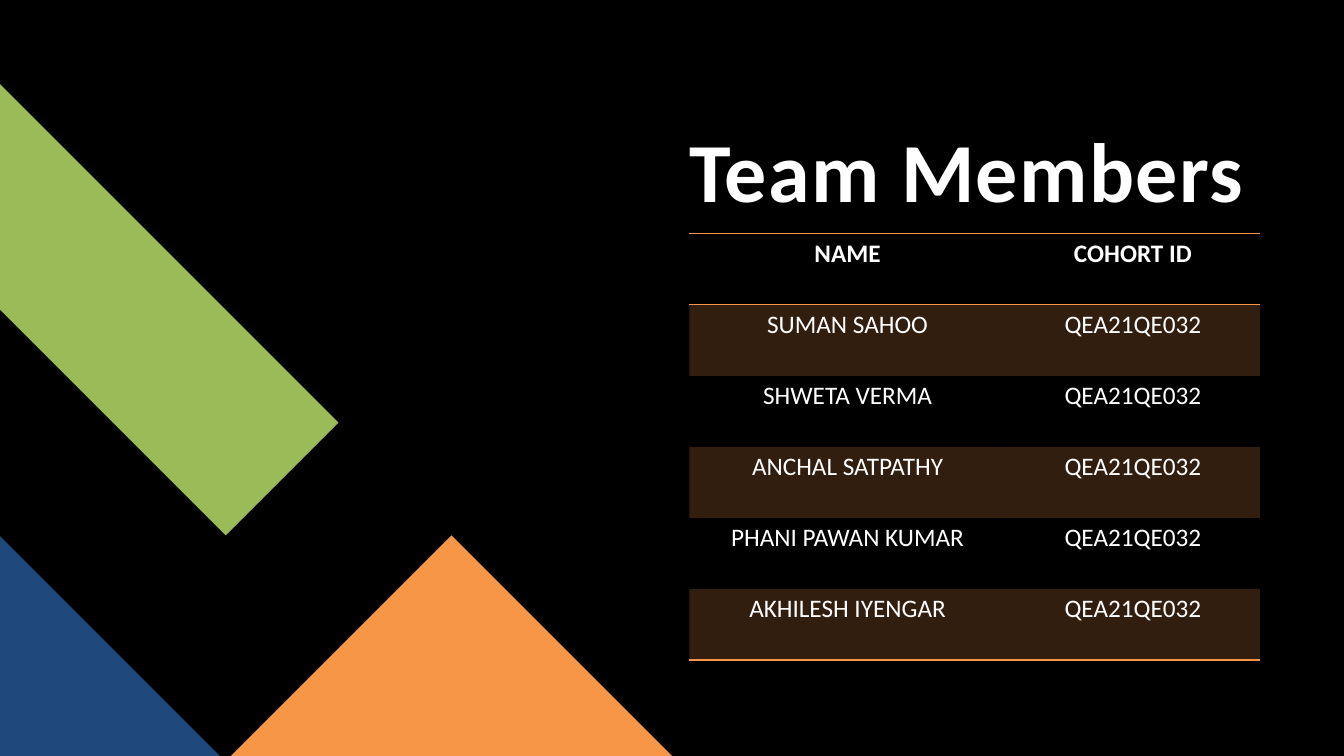
from dataclasses import dataclass

from lxml import etree
from pptx import Presentation
from pptx.dml.color import RGBColor
from pptx.enum.text import MSO_ANCHOR, PP_ALIGN
from pptx.oxml.ns import qn
from pptx.util import Cm, Pt

CENTER, LEFT = PP_ALIGN.CENTER, PP_ALIGN.LEFT
BOTTOM = MSO_ANCHOR.BOTTOM
PLAIN_TABLE_STYLE = "{2D5ABB26-0587-4C30-8999-92F81FD0307C}"


@dataclass(frozen=True)
class Theme:
    font: str = "Calibri"
    background: str = "000000"
    text: str = "FFFFFF"
    green: str = "9BBB59"
    blue: str = "1F497D"
    orange: str = "F79646"
    title_size: int = 60
    table_size: int = 18
    rule_width: int = 1
    band_opacity: int = 20


class Page:
    """The current slide and the style its elements share."""

    def __init__(self, deck, theme):
        self.theme = theme
        self.slide = deck.slides.add_slide(deck.slide_layouts[6])
        fill = self.slide.background.fill
        fill.solid()
        fill.fore_color.rgb = RGBColor.from_string(theme.background)

    def polygon(self, points, color):
        corners = [(Cm(x), Cm(y)) for x, y in points]
        builder = self.slide.shapes.build_freeform(*corners[0])
        builder.add_line_segments(corners[1:], close=True)
        shape = builder.convert_to_shape()
        shape.shadow.inherit = False
        shape.fill.solid()
        shape.fill.fore_color.rgb = RGBColor.from_string(color)
        shape.line.fill.background()

    def add_span(self, para, text, size, bold=False, align=LEFT):
        para.alignment = align
        span = para.add_run()
        span.text = text
        span.font.name = self.theme.font
        span.font.size = Pt(size)
        span.font.bold = bold
        span.font.color.rgb = RGBColor.from_string(self.theme.text)
        return span

    def title(self, text, left, top, width, height):
        box = self.slide.shapes.add_textbox(Cm(left), Cm(top), Cm(width), Cm(height))
        frame = box.text_frame
        frame.word_wrap = True
        frame.vertical_anchor = BOTTOM
        frame.margin_left = frame.margin_right = 0
        frame.margin_top = frame.margin_bottom = 0
        span = self.add_span(frame.paragraphs[0], text, self.theme.title_size, bold=True)
        span.font._element.set("spc", "100")

    def table(self, rows, left, top, widths, row_height):
        """Banded table with rules around the header and below the last row."""
        frame = self.slide.shapes.add_table(
            len(rows), len(widths), Cm(left), Cm(top),
            Cm(sum(widths)), Cm(row_height * len(rows)))
        table = frame.table
        table._tbl.tblPr.find(qn("a:tableStyleId")).text = PLAIN_TABLE_STYLE
        for column, width in zip(table.columns, widths):
            column.width = Cm(width)
        for index, texts in enumerate(rows):
            table.rows[index].height = Cm(row_height)
            ruled = set()
            if index in (0, 1):
                ruled.add("T")
            if index in (0, len(rows) - 1):
                ruled.add("B")
            for cell, text in zip(table.rows[index].cells, texts):
                self.add_span(cell.text_frame.paragraphs[0], text,
                              self.theme.table_size, bold=index == 0, align=CENTER)
                self.borders(cell, ruled)
                self.band(cell, index % 2 == 1)

    def borders(self, cell, ruled):
        properties = cell._tc.get_or_add_tcPr()
        for side in "LRTB":
            line = etree.SubElement(properties, qn(f"a:ln{side}"))
            if side in ruled:
                line.set("w", str(Pt(self.theme.rule_width)))
                fill = etree.SubElement(line, qn("a:solidFill"))
                etree.SubElement(fill, qn("a:srgbClr"), val=self.theme.orange)
            else:
                etree.SubElement(line, qn("a:noFill"))

    def band(self, cell, shaded):
        if not shaded:
            cell.fill.background()
            return
        cell.fill.solid()
        cell.fill.fore_color.rgb = RGBColor.from_string(self.theme.orange)
        color = cell._tc.tcPr.find(f"{qn('a:solidFill')}/{qn('a:srgbClr')}")
        etree.SubElement(color, qn("a:alpha"), val=str(self.theme.band_opacity * 1000))


def main():
    deck = Presentation()
    deck.slide_width, deck.slide_height = Cm(33.87), Cm(19.05)
    theme = Theme()
    page = Page(deck, theme)

    page.polygon([(0, 2.12), (0, 7.8), (5.69, 13.49), (8.53, 10.65)], theme.green)
    page.polygon([(0, 13.51), (0, 19.05), (5.54, 19.05)], theme.blue)
    page.polygon([(16.94, 19.05), (11.38, 13.49), (5.82, 19.05)], theme.orange)

    page.title("Team Members", 17.37, 1.3, 15.27, 4.22)

    cohort = "QEA21QE032"
    members = ["SUMAN SAHOO", "SHWETA VERMA", "ANCHAL SATPATHY",
               "PHANI PAWAN KUMAR", "AKHILESH IYENGAR"]
    rows = [("NAME", "COHORT ID")] + [(member, cohort) for member in members]
    page.table(rows, 17.37, 5.89, widths=(7.98, 6.4), row_height=1.79)

    deck.save("out.pptx")


if __name__ == "__main__":
    main()
